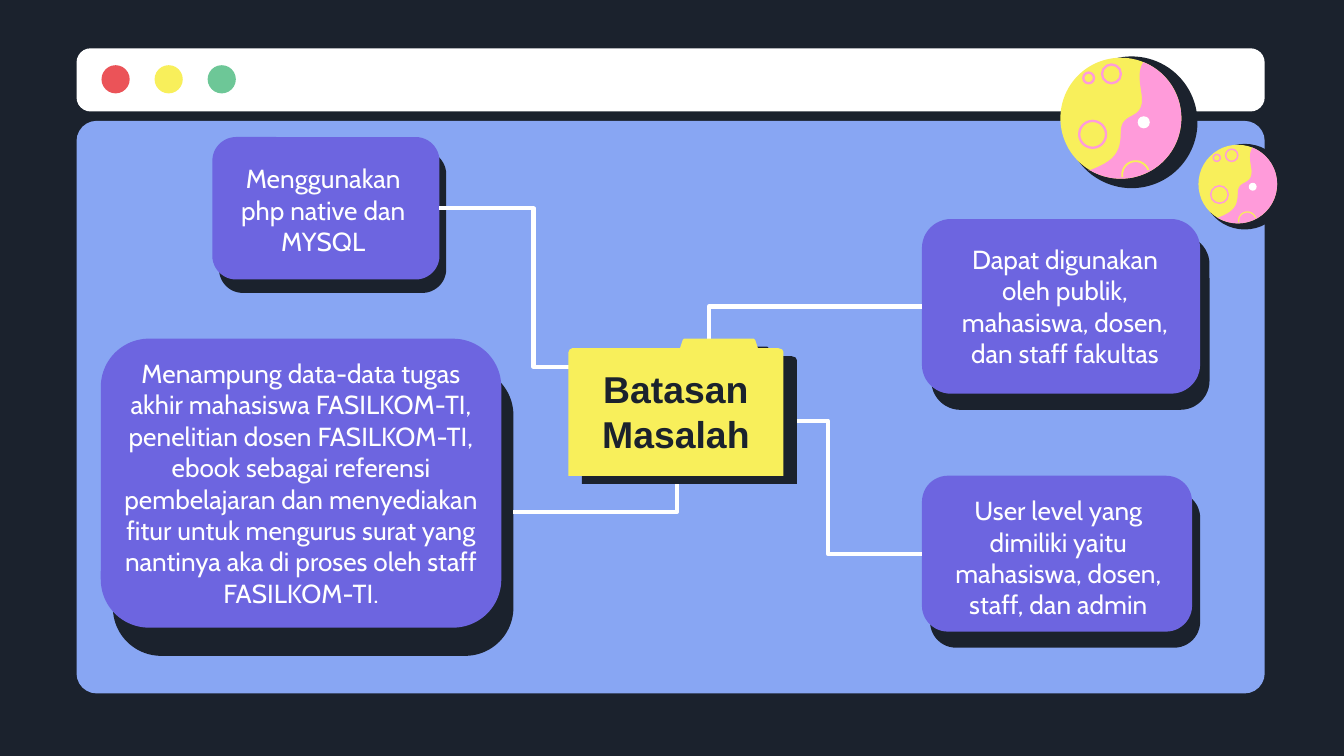
import math
from dataclasses import dataclass

import pptx
import pptx.dml.color
import pptx.enum.shapes
import pptx.enum.text
import pptx.oxml
import pptx.oxml.ns
import pptx.util
from pptx.util import Inches

RGBColor = pptx.dml.color.RGBColor
Kind = pptx.enum.shapes.MSO_SHAPE
Anchor = pptx.enum.text.MSO_ANCHOR
Point = tuple[float, float]
Box = tuple[float, float, float, float]

SLIDE_WIDTH = Inches(10)
SLIDE_HEIGHT = SLIDE_WIDTH * 9 // 16

NIGHT = RGBColor(0x1B, 0x22, 0x2D)
SKY = RGBColor(0x88, 0xA6, 0xF3)
WHITE = RGBColor(0xFF, 0xFF, 0xFF)
RED = RGBColor(0xEB, 0x53, 0x58)
YELLOW = RGBColor(0xF8, 0xEF, 0x5B)
GREEN = RGBColor(0x6D, 0xC7, 0x97)
PINK = RGBColor(0xFF, 0x9B, 0xDA)
VIOLET = RGBColor(0x6D, 0x65, 0xE0)

CARD_FONT = {"name": "Cabin", "size": pptx.util.Pt(14), "bold": False}
TITLE_FONT = {"name": "Arial", "size": pptx.util.Pt(20), "bold": True}
FRAME_FORMAT = {
    "word_wrap": True,
    "margin_left": Inches(0.1),
    "margin_right": Inches(0.1),
    "margin_top": Inches(0.1),
    "margin_bottom": Inches(0.1),
}


@dataclass
class Card:
    panel: Box
    shadow_offset: Point
    text_box: Box
    text: str


@dataclass
class Link:
    start: Point
    end: Point
    bend: float


@dataclass
class Planet:
    center: Point
    scale: float
    ring_width: float


CARDS = [
    Card((6.86, 3.54, 2.01, 1.16), (0.06, 0.12), (6.99, 3.58, 1.77, 0.83),
         "User level yang dimiliki yaitu mahasiswa, dosen, staff, dan admin"),
    Card((0.75, 2.52, 2.98, 2.15), (0.09, 0.21), (0.8, 2.56, 2.88, 2.19),
         "Menampung data-data tugas akhir mahasiswa FASILKOM-TI, penelitian dosen "
         "FASILKOM-TI, ebook sebagai referensi pembelajaran dan menyediakan fitur untuk "
         "mengurus surat yang nantinya aka di proses oleh staff FASILKOM-TI."),
    Card((1.58, 1.02, 1.69, 1.06), (0.05, 0.1), (1.66, 1.11, 1.49, 0.83),
         "Menggunakan php native dan MYSQL"),
    Card((6.86, 1.63, 2.07, 1.3), (0.07, 0.12), (6.96, 1.71, 1.93, 1.19),
         "Dapat digunakan oleh publik, mahasiswa, dosen, dan staff fakultas"),
]
LINKS = [
    Link((3.27, 1.55), (4.67, 2.73), 0.5),
    Link((3.82, 3.81), (5.05, 3.14), 0.99),
    Link((6.86, 2.28), (5.32, 2.73), 1.03),
    Link((6.86, 4.12), (5.46, 3.13), 0.5),
]
PLANETS = [Planet((8.34, 0.88), 1, 1.25), Planet((9.21, 1.37), 0.65, 0.8)]

# Planet geometry in inches from its centre, at scale 1.
PLANET_RADIUS = 0.45
CRATERS = [(-0.07, -0.33, 0.07), (-0.21, 0.12, 0.1), (-0.24, -0.3, 0.04)]
COAST = [
    [(-0.24, 0.39), (-0.05, 0.32), (0, 0.26), (0, 0.1)],
    [(0, 0.1), (0, -0.07), (0.2, 0.04), (0.15, -0.21)],
    [(0.15, -0.21), (0.13, -0.32), (0.14, -0.38), (0.17, -0.42)],
]
FOLDER = [
    (5.83, 2.62), (5.83, 3.54), (4.23, 3.54), (4.23, 2.62), (4.24, 2.6), (4.26, 2.59),
    (5.06, 2.59), (5.08, 2.53), (5.09, 2.52), (5.61, 2.52), (5.62, 2.53), (5.64, 2.59),
    (5.79, 2.59), (5.82, 2.6),
]


def apply_format(target, values: dict) -> None:
    for name, value in values.items():
        setattr(target, name, value)


def paint(shape, fill: RGBColor | None, line: RGBColor | None = None, width: float = 0) -> None:
    shape.shadow.inherit = False
    if fill is None:
        shape.fill.background()
    else:
        shape.fill.solid()
        shape.fill.fore_color.rgb = fill
    if line is None:
        shape.line.fill.background()
    else:
        shape.line.color.rgb = line
        shape.line.width = pptx.util.Pt(width)


def add_round_box(page, box: Box, corner: float, fill: RGBColor) -> None:
    shape = page.shapes.add_shape(Kind.ROUNDED_RECTANGLE, *map(Inches, box))
    shape.adjustments[0] = corner
    paint(shape, fill)


def add_disc(page, x: float, y: float, radius: float, fill, line=None, width: float = 0) -> None:
    box = (x - radius, y - radius, 2 * radius, 2 * radius)
    paint(page.shapes.add_shape(Kind.OVAL, *map(Inches, box)), fill, line, width)


def add_outline(page, points: list[Point], fill, line=None, width: float = 0, close=True) -> None:
    corners = [(Inches(x), Inches(y)) for x, y in points]
    builder = page.shapes.build_freeform(*corners[0])
    builder.add_line_segments(corners[1:], close=close)
    paint(builder.convert_to_shape(), fill, line, width)


def curve(controls: list[Point], steps: int = 12) -> list[Point]:
    """Points along a cubic Bezier curve."""
    points = []
    for step in range(steps + 1):
        t = step / steps
        weights = [math.comb(3, k) * t**k * (1 - t)**(3 - k) for k in range(4)]
        points.append(tuple(sum(w * c[axis] for w, c in zip(weights, controls))
                            for axis in (0, 1)))
    return points


def arc(x: float, y: float, radius: float, first: int, last: int, step: int = 5) -> list[Point]:
    """Points along a circle, in degrees clockwise from the right."""
    angles = [math.radians(angle) for angle in range(first, last + 1, step)]
    return [(x + radius * math.cos(a), y + radius * math.sin(a)) for a in angles]


def add_planet(page, planet: Planet) -> None:
    def place(x: float, y: float) -> Point:
        return planet.center[0] + x * planet.scale, planet.center[1] + y * planet.scale

    add_disc(page, *place(0.08, 0.03), 0.49 * planet.scale, NIGHT)
    add_disc(page, *planet.center, PLANET_RADIUS * planet.scale, YELLOW)
    for x, y, radius in CRATERS:
        add_disc(page, *place(x, y), radius * planet.scale, None, PINK, planet.ring_width)
    land = [point for part in COAST for point in curve(part)]
    land += arc(0, 0, PLANET_RADIUS, -68, 122)
    add_outline(page, [place(*point) for point in land], PINK)
    rim = [place(*point) for point in arc(0.11, 0.42, 0.1, 170, 340)]
    add_outline(page, rim, None, YELLOW, planet.ring_width * 0.8, close=False)
    add_disc(page, *place(0.17, 0.03), 0.045 * planet.scale, WHITE)


def add_link(page, link: Link) -> None:
    elbow = page.shapes.add_connector(
        pptx.enum.shapes.MSO_CONNECTOR.ELBOW, *map(Inches, link.start + link.end))
    elbow.line.color.rgb = WHITE
    elbow.line.width = pptx.util.Pt(2.25)
    properties = elbow._element.spPr
    guides = properties.find(".//" + pptx.oxml.ns.qn("a:avLst"))
    guides.append(pptx.oxml.parse_xml(
        f'<a:gd {pptx.oxml.ns.nsdecls("a")} name="adj1" fmla="val {round(link.bend * 100000)}"/>'))
    properties.append(pptx.oxml.parse_xml(f'<a:effectLst {pptx.oxml.ns.nsdecls("a")}/>'))


def add_text(page, box: Box, text: str, font: dict, color: RGBColor,
             anchor=Anchor.TOP, after: float = 0) -> None:
    frame = page.shapes.add_textbox(*map(Inches, box)).text_frame
    apply_format(frame, FRAME_FORMAT | {"vertical_anchor": anchor})
    para = frame.paragraphs[0]
    para.text = text
    para.alignment = pptx.enum.text.PP_ALIGN.CENTER
    para.space_after = pptx.util.Pt(after)
    for span in para.runs:
        apply_format(span.font, font)
        span.font.color.rgb = color


def main() -> None:
    deck = pptx.Presentation()
    apply_format(deck, {"slide_width": SLIDE_WIDTH, "slide_height": SLIDE_HEIGHT})
    page = deck.slides.add_slide(deck.slide_layouts[6])
    page.background.fill.solid()
    page.background.fill.fore_color.rgb = NIGHT

    add_round_box(page, (0.57, 0.9, 8.84, 4.26), 0.035, SKY)
    add_round_box(page, (0.57, 0.36, 8.84, 0.47), 0.223, WHITE)
    for index, color in enumerate((RED, YELLOW, GREEN)):
        add_disc(page, 0.86 + 0.395 * index, 0.59, 0.105, color)
    for planet in PLANETS:
        add_planet(page, planet)
    for card in CARDS:
        left, top, width, height = card.panel
        right_shift, down_shift = card.shadow_offset
        add_round_box(page, (left + right_shift, top + down_shift, width, height), 0.167, NIGHT)
        add_round_box(page, card.panel, 0.167, VIOLET)
    for link in LINKS:
        add_link(page, link)
    add_outline(page, [(x + 0.1, y + 0.06) for x, y in FOLDER], NIGHT)
    add_outline(page, FOLDER, YELLOW)
    for card in CARDS:
        add_text(page, card.text_box, card.text, CARD_FONT, WHITE, after=16)
    add_text(page, (3.63, 2.75, 2.8, 0.62), "Batasan\vMasalah", TITLE_FONT, NIGHT, Anchor.MIDDLE)
    deck.save("out.pptx")


if __name__ == "__main__":
    main()
